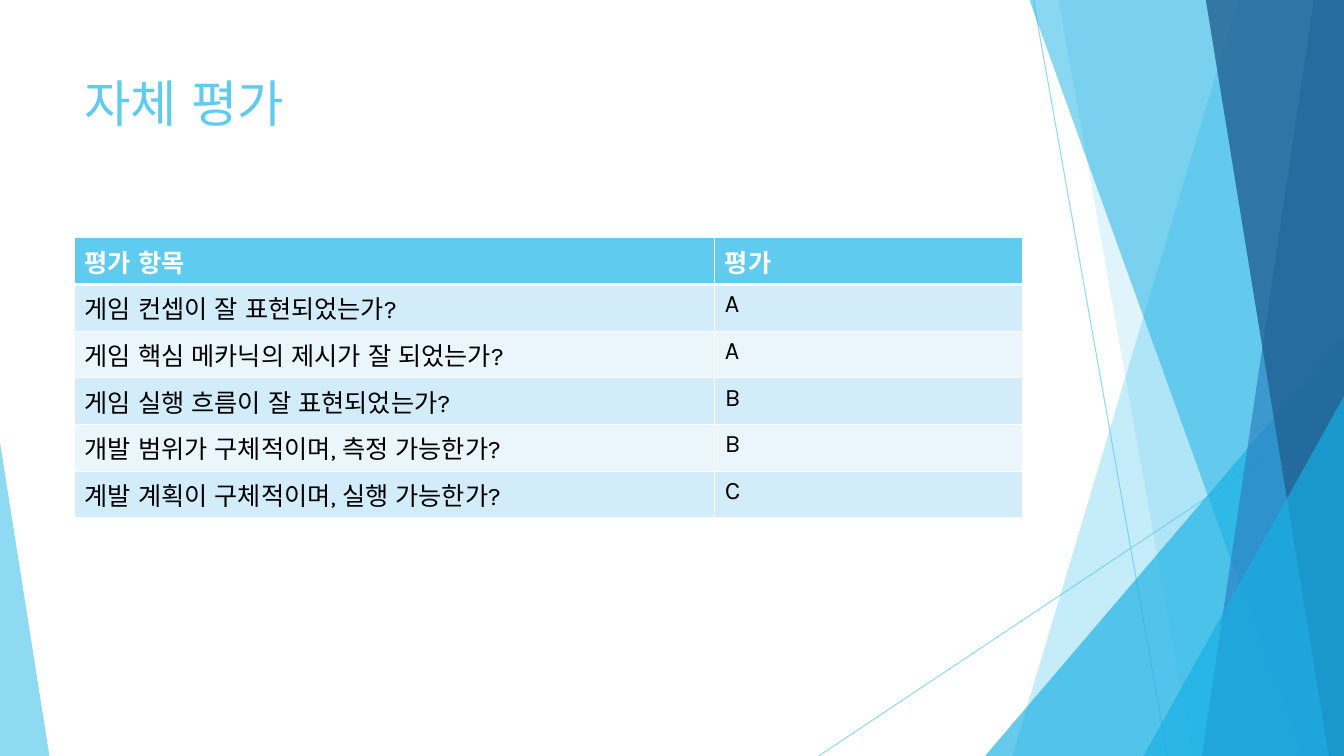
from dataclasses import dataclass

from lxml import etree
from pptx import Presentation
from pptx.dml.color import RGBColor
from pptx.enum.lang import MSO_LANGUAGE_ID
from pptx.enum.shapes import MSO_CONNECTOR, MSO_SHAPE
from pptx.enum.text import MSO_ANCHOR
from pptx.oxml.ns import qn
from pptx.util import Inches, Pt

STRAIGHT = MSO_CONNECTOR.STRAIGHT
TRIANGLE = MSO_SHAPE.ISOSCELES_TRIANGLE
TOP = MSO_ANCHOR.TOP
KOREAN = MSO_LANGUAGE_ID.KOREAN


@dataclass(frozen=True)
class Theme:
    font: str = "Karla"
    title_size: int = 36
    table_size: int = 18
    sky: str = "5FCBEF"
    azure: str = "17B0E4"
    blue: str = "2E83C3"
    navy: str = "226292"
    white: str = "FFFFFF"
    black: str = "000000"
    bands: tuple = ("D2ECF9", "EAF6FC")


@dataclass(frozen=True)
class Box:
    left: float
    top: float
    width: float
    height: float

    def inches(self):
        return [Inches(n) for n in (self.left, self.top, self.width, self.height)]


THEME = Theme()
PAGE = Box(0, 0, 13.33, 7.5)
TITLE = Box(0.74, 0.67, 9.4, 1.44)
TABLE = Box(0.74, 2.36, 9.4, 2.78)
COLUMN_WIDTHS = (6.35, 3.05)
RATINGS = (
    ("평가 항목", "평가"),
    ("게임 컨셉이 잘 표현되었는가?", "A"),
    ("게임 핵심 메카닉의 제시가 잘 되었는가?", "A"),
    ("게임 실행 흐름이 잘 표현되었는가?", "B"),
    ("개발 범위가 구체적이며, 측정 가능한가?", "B"),
    ("계발 계획이 구체적이며, 실행 가능한가?", "C"),
)


def set_opacity(shape, percent):
    for color in shape.element.spPr.iter(qn("a:srgbClr")):
        etree.SubElement(color, qn("a:alpha"), val=str(percent * 1000))


def paint(shape, color, opacity):
    shape.shadow.inherit = False
    shape.fill.solid()
    shape.fill.fore_color.rgb = RGBColor.from_string(color)
    shape.line.fill.background()
    set_opacity(shape, opacity)


def style_text(frame, size, color, bold=False):
    for para in frame.paragraphs:
        for span in para.runs:
            span.font.name = THEME.font
            span.font.language_id = KOREAN
            span.font.size = Pt(size)
            span.font.bold = bold
            span.font.color.rgb = RGBColor.from_string(color)


def add_thin_line(page, start, end):
    line = page.shapes.add_connector(STRAIGHT, *[Inches(n) for n in start + end])
    line.line.width = Pt(0.75)
    line.line.color.rgb = RGBColor.from_string(THEME.sky)
    set_opacity(line, 70)
    etree.SubElement(line.element.spPr, qn("a:effectLst"))


def add_ray(page, box, top_offset, bottom_offset, color, opacity):
    right = box.left + box.width
    bottom = box.top + box.height
    corners = [
        (right - top_offset, box.top),
        (right, box.top),
        (right, bottom),
        (right - bottom_offset, bottom),
    ]
    points = [(Inches(x), Inches(y)) for x, y in corners]
    builder = page.shapes.build_freeform(*points[0])
    builder.add_line_segments(points[1:], close=True)
    paint(builder.convert_to_shape(), color, opacity)


def add_corner(page, box, width, height, color, opacity, on_right=True):
    left = box.left + (box.width - width if on_right else 0)
    place = Box(left, box.top + box.height - height, width, height)
    corner = page.shapes.add_shape(TRIANGLE, *place.inches())
    corner.adjustments[0] = 1.0 if on_right else 0.0
    paint(corner, color, opacity)


def add_backdrop(page, box):
    right = box.left + box.width
    bottom = box.top + box.height
    add_thin_line(page, (right - 3.08, box.top), (right - 1.75, bottom))
    add_thin_line(page, (right, box.top + 4.03), (right - 5.21, bottom))
    add_ray(page, box, 1.05, 3.29, THEME.sky, 36)
    add_ray(page, box, 2.83, 1.5, THEME.sky, 20)
    add_corner(page, box, 3.56, 4.17, THEME.azure, 66)
    add_ray(page, box, 3.12, 0.42, THEME.azure, 50)
    add_ray(page, box, 0.3, 1.41, THEME.blue, 70)
    add_ray(page, box, 1.37, 0.15, THEME.navy, 80)
    add_corner(page, box, 1.99, 3.57, THEME.azure, 66)
    add_corner(page, box, 0.49, 3.11, THEME.sky, 70, on_right=False)


def add_title(page, box, text):
    frame = page.shapes.add_textbox(*box.inches()).text_frame
    frame.word_wrap = True
    frame.vertical_anchor = TOP
    frame.text = text
    style_text(frame, THEME.title_size, THEME.sky)


def add_borders(cell, widths):
    properties = cell._tc.get_or_add_tcPr()
    for side, width in widths.items():
        border = etree.SubElement(properties, qn(f"a:ln{side}"), w=str(Pt(width)))
        fill = etree.SubElement(border, qn("a:solidFill"))
        etree.SubElement(fill, qn("a:srgbClr"), val=THEME.white)


def add_ratings(page, box, rows):
    frame = page.shapes.add_table(len(rows), len(COLUMN_WIDTHS), *box.inches())
    table = frame.table
    for column, width in zip(table.columns, COLUMN_WIDTHS):
        column.width = Inches(width)
    for row_index, texts in enumerate(rows):
        header = row_index == 0
        fill = THEME.sky if header else THEME.bands[(row_index - 1) % 2]
        color = THEME.white if header else THEME.black
        widths = {"L": 1, "R": 1, "T": 3 if row_index == 1 else 1, "B": 3 if header else 1}
        for column_index, text in enumerate(texts):
            cell = table.cell(row_index, column_index)
            cell.text_frame.text = text
            style_text(cell.text_frame, THEME.table_size, color, header)
            add_borders(cell, widths)
            cell.fill.solid()
            cell.fill.fore_color.rgb = RGBColor.from_string(fill)


def main():
    deck = Presentation()
    deck.slide_width = Inches(PAGE.width)
    deck.slide_height = Inches(PAGE.height)
    page = deck.slides.add_slide(deck.slide_layouts[6])
    add_backdrop(page, PAGE)
    add_title(page, TITLE, "자체 평가")
    add_ratings(page, TABLE, RATINGS)
    deck.save("out.pptx")


if __name__ == "__main__":
    main()
